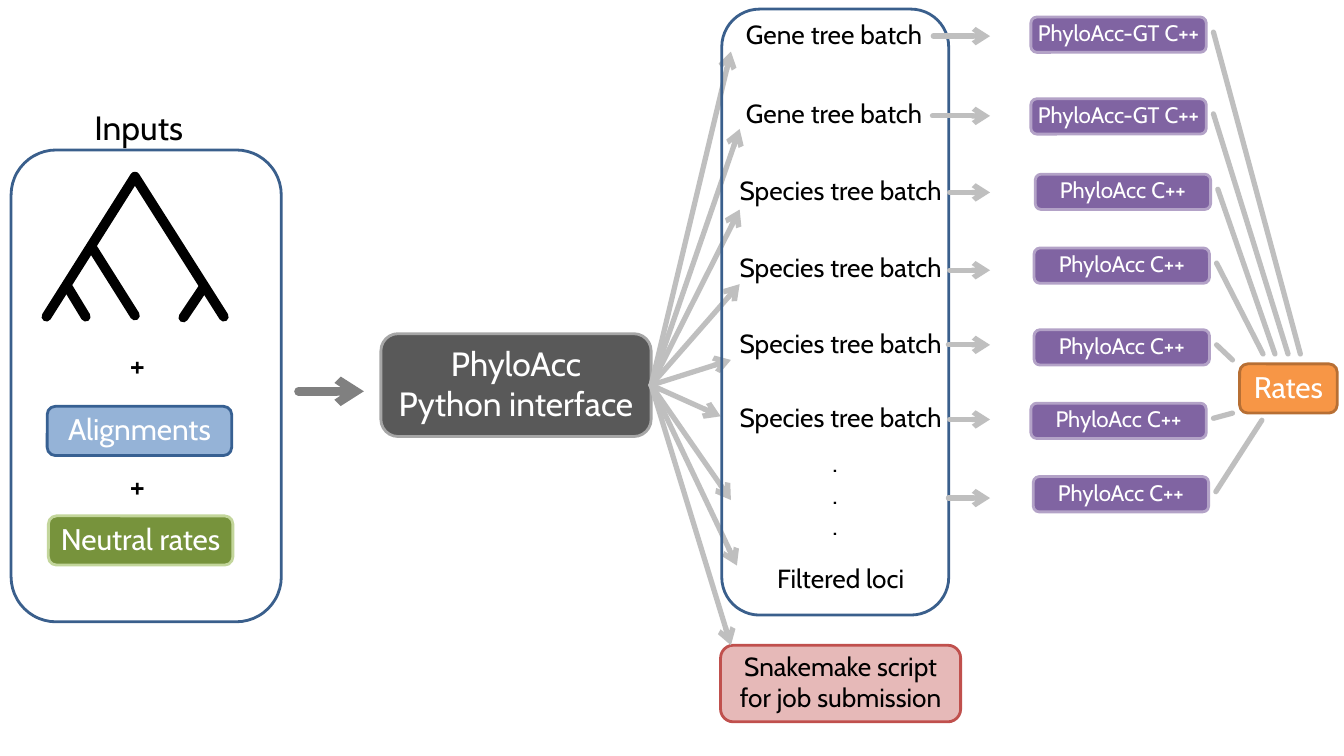
import pptx
import pptx.dml.color
import pptx.enum.dml
import pptx.enum.shapes
import pptx.enum.text
import pptx.oxml
import pptx.oxml.ns
import pptx.util

Cm, Pt = pptx.util.Cm, pptx.util.Pt
ALIGN, ANCHOR = pptx.enum.text.PP_ALIGN, pptx.enum.text.MSO_ANCHOR

# Content; all lengths are in cm
FONT = "Cabin"
BLACK, WHITE, PALE_GREY, GREY, NAVY = "000000", "FFFFFF", "BFBFBF", "808080", "3A5F8C"

# Boxes: text, (left, top, width, height), fill, outline, text size, text colour
SNAKEMAKE = ("Snakemake script for job submission", (18.16, 16.26, 6.05, 1.93),
             "E6B9B8", "C0504D", 18.7, BLACK)
RATES = ("Rates", (31.24, 9.17, 2.46, 1.24), "F79646", "B76F34", 21.3, WHITE)
INTERFACE = ("PhyloAcc\nPython interface", (9.6, 8.41, 6.81, 2.59),
             "595959", "A6A6A6", 24, WHITE)
ALIGNMENTS = ("Alignments", (1.19, 10.24, 4.65, 1.24), "95B3D7", "376092", 21.3, WHITE)
NEUTRAL_RATES = ("Neutral rates", (1.22, 13, 4.65, 1.24), "77933C", "C3D69B", 21.3, WHITE)

INPUTS_FRAME = (0.28, 3.78, 6.81, 11.89)
BATCHES_FRAME = (18.19, 0.23, 5.72, 15.27)

INPUT_LABELS = [("Inputs", (2.13, 2.57, 2.97, 1.27)),
                ("+", (3.02, 8.53, 0.91, 1.27)),
                ("+", (3.02, 11.58, 0.91, 1.27))]

TREE_BRANCHES = [((5.64, 7.98), (3.4, 4.45)), ((1.17, 7.98), (3.4, 4.45)),
                 ((2.16, 7.98), (1.68, 7.19)), ((3.4, 7.95), (2.31, 6.22)),
                 ((4.62, 8), (5.13, 7.24))]

# Batches: text, top, width
BATCHES = [("Gene tree batch", 0.33, 5.72), ("Gene tree batch", 2.34, 5.72),
           ("Species tree batch", 4.27, 6.05), ("Species tree batch", 6.2, 6.05),
           ("Species tree batch", 8.13, 6.05), ("Species tree batch", 9.98, 6.05),
           ("Filtered loci", 14.05, 6.05)]
BATCH_LEFT, BATCH_HEIGHT = 18.16, 1.07
MORE_BATCHES = (".\n.\n.", (20.73, 11.13, 0.91, 2.64))

INTERFACE_TARGETS = [(18.42, 1.3), (18.64, 3.25), (18.64, 5.28), (18.64, 7.16), (18.42, 9.07),
                     (18.16, 10.49), (18.42, 12.6), (18.57, 14.25), (18.42, 16.26)]

# Programs: text, (left, top), (start, height) of the arrow in, end of the line to Rates
PROGRAMS = [("PhyloAcc-GT C++", (25.98, 0.43), (23.52, 0.91), (32.77, 8.92)),
            ("PhyloAcc-GT C++", (25.98, 2.49), (23.5, 2.92), (32.46, 8.92)),
            ("PhyloAcc C++", (26.09, 4.39), (23.93, 4.85), (32.13, 8.92)),
            ("PhyloAcc C++", (26.06, 6.25), (23.93, 6.81), (31.83, 8.92)),
            ("PhyloAcc C++", (26.06, 8.31), (23.9, 8.69), (31.06, 9.07)),
            ("PhyloAcc C++", (25.98, 10.16), (23.93, 10.57), (31.06, 10.41)),
            ("PhyloAcc C++", (26.04, 12.01), (23.9, 12.55), (31.8, 10.59))]
PROGRAM_WIDTH, PROGRAM_HEIGHT = 4.42, 0.89
PROGRAM_ARROW_END = 24.95
RATE_LINE_GAP, RATE_LINE_DROP = 0.18, 0.38

presentation = pptx.Presentation()
presentation.slide_width, presentation.slide_height = Cm(33.87), Cm(19.05)
slide = presentation.slides.add_slide(presentation.slide_layouts[6])


def colour(hex_string):
    return pptx.dml.color.RGBColor.from_string(hex_string)


def write(frame, text, size=18.7, ink=BLACK, align=ALIGN.CENTER, anchor=ANCHOR.TOP):
    frame.word_wrap = True
    frame.vertical_anchor = anchor
    for number, line in enumerate(text.split("\n")):
        paragraph = frame.add_paragraph() if number else frame.paragraphs[0]
        paragraph.text = line
        paragraph.alignment = align
        paragraph.font.name = FONT
        paragraph.font.size = Pt(size)
        paragraph.font.color.rgb = colour(ink)


def add_label(text, place, **text_format):
    label = slide.shapes.add_textbox(*map(Cm, place))
    write(label.text_frame, text, **text_format)


def add_frame(place, outline, fill=None):
    frame = slide.shapes.add_shape(
        pptx.enum.shapes.MSO_SHAPE.ROUNDED_RECTANGLE, *map(Cm, place))
    frame.shadow.inherit = False
    frame.line.color.rgb = colour(outline)
    frame.line.width = Pt(2)
    if fill:
        frame.fill.solid()
        frame.fill.fore_color.rgb = colour(fill)
    else:
        frame.fill.background()
    return frame


def add_box(text, place, fill, outline, size, ink):
    box = add_frame(place, outline, fill)
    inside = box.text_frame
    inside.margin_left = inside.margin_right = Cm(0.1)
    inside.margin_top, inside.margin_bottom = 0, Cm(0.1)
    write(inside, text, size=size, ink=ink, anchor=ANCHOR.MIDDLE)
    return box


def add_line(start, end, ink=PALE_GREY, width=3.75, arrow=False):
    line = slide.shapes.add_connector(
        pptx.enum.shapes.MSO_CONNECTOR.STRAIGHT, *map(Cm, start + end))
    line.line.color.rgb = colour(ink)
    line.line.width = Pt(width)
    stroke = line.line._get_or_add_ln()
    stroke.set("cap", "rnd")
    if arrow:
        head = pptx.oxml.parse_xml(
            f'<a:tailEnd {pptx.oxml.ns.nsdecls("a")} type="arrow"/>')
        stroke.append(head)
    line._element.spPr.append(
        pptx.oxml.parse_xml(f'<a:effectLst {pptx.oxml.ns.nsdecls("a")}/>'))
    return line


# Inputs
add_frame(INPUTS_FRAME, NAVY)
for text, place in INPUT_LABELS:
    add_label(text, place, size=24, align=ALIGN.LEFT)
for tip, fork in TREE_BRANCHES:
    add_line(tip, fork, ink=BLACK, width=7)
add_box(*ALIGNMENTS)
add_box(*NEUTRAL_RATES)
add_line((7.52, 9.86), (9.17, 9.86), ink=GREY, width=6, arrow=True)

# Interface, fanning out from the middle of its right side
add_box(*SNAKEMAKE)
interface = add_box(*INTERFACE)
left, top, width, height = INTERFACE[1]
for target in INTERFACE_TARGETS:
    branch = add_line((left + width, top + height / 2), target, arrow=True)
    branch.begin_connect(interface, 3)

# Batches
add_frame(BATCHES_FRAME, NAVY)
for text, top, width in BATCHES:
    add_label(text, (BATCH_LEFT, top, width, BATCH_HEIGHT))
add_label(*MORE_BATCHES, align=ALIGN.LEFT)

# Programs and rates
add_box(*RATES)
for text, (left, top), (arrow_start, arrow_height), rate_end in PROGRAMS:
    add_box(text, (left, top, PROGRAM_WIDTH, PROGRAM_HEIGHT), "8064A2", "B3A2C7", 16, WHITE)
    add_line((arrow_start, arrow_height), (PROGRAM_ARROW_END, arrow_height), arrow=True)
    add_line((left + PROGRAM_WIDTH + RATE_LINE_GAP, top + RATE_LINE_DROP), rate_end)

presentation.save("out.pptx")
